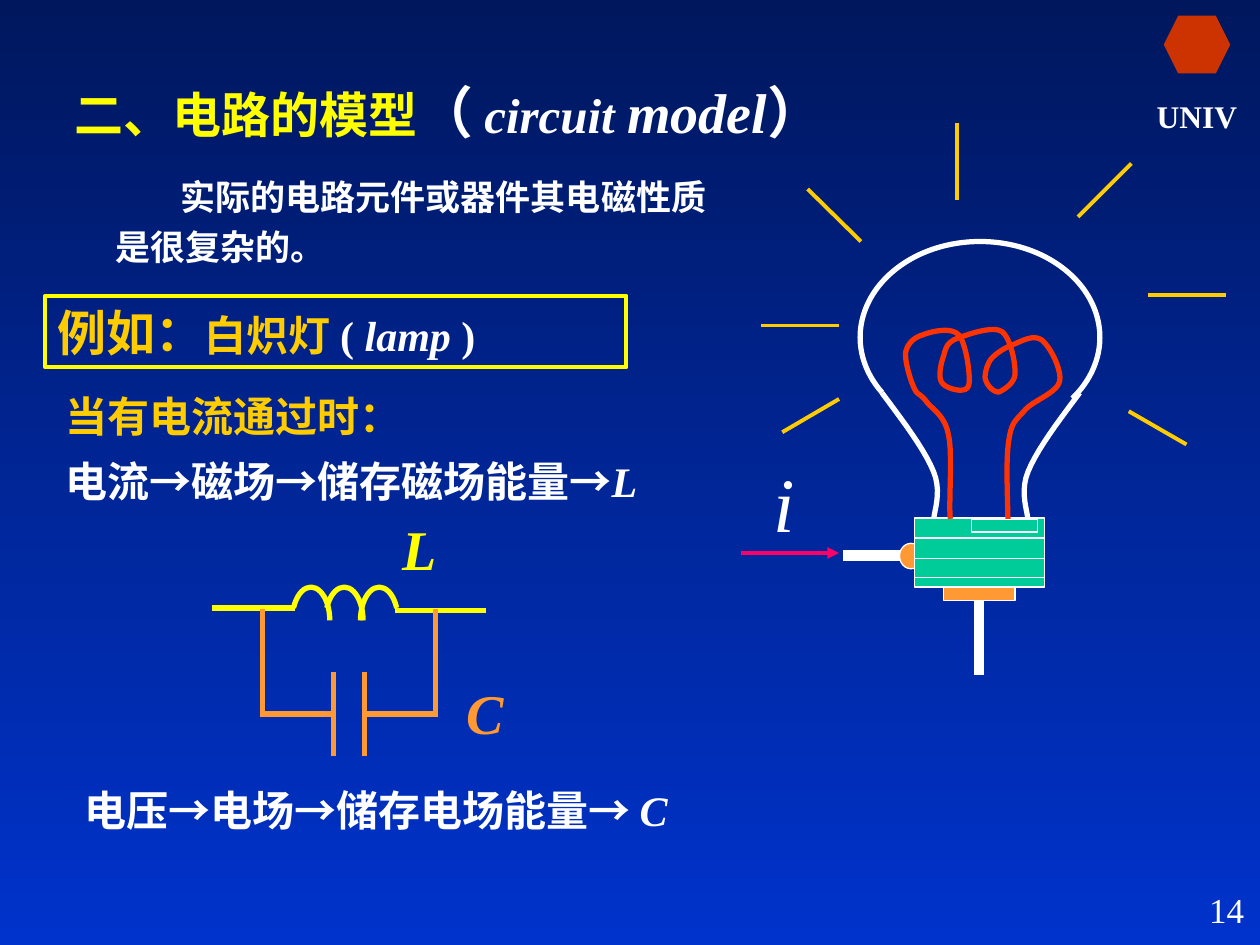
import pptx
import pptx.util
import pptx.dml.color
import pptx.enum.shapes
import pptx.enum.text
import pptx.oxml
import pptx.oxml.ns

Pt = pptx.util.Pt
SHAPE = pptx.enum.shapes.MSO_SHAPE
ANCHOR = pptx.enum.text.MSO_ANCHOR
ALIGN = pptx.enum.text.PP_ALIGN

THEME = {
    "top": "00175E", "bottom": "0033CC", "white": "FFFFFF", "yellow": "FFFF00",
    "gold": "FFCC00", "orange": "FF9933", "green": "00CC99", "red": "FF3300",
    "pink": "FF0066", "emblem": "CC3300",
    "serif": "Times New Roman", "sans": "Arial", "cjk": "Noto Sans CJK SC",
    "small": 18, "body": 20, "text": 24, "head": 28, "label": 32, "current": 44,
}

# Text: a run is (text, changes from the run before)
CJK, ARROW = {"font": "cjk"}, {"font": "sans"}
SYMBOL = {"font": "serif", "italic": True}
TITLE = [("二、电路的模型", {"color": "yellow", "size": "head"}),
         ("（", {"color": "white", "size": "label"}), (" ", {"size": "head"}),
         ("circuit ", {"italic": True}), ("model", {"size": "label"}),
         ("）", {"italic": False})]
EXAMPLE = [("例如：", {"color": "gold", "size": "head"}), ("白炽灯 ", {"size": "text"}),
           ("( ", {"color": "white"}), ("lamp ", {"italic": True}),
           (")", {"italic": False})]
MAGNETIC = [("电流", CJK), ("→", ARROW), ("磁场", CJK), ("→", ARROW),
            ("储存磁场能量", CJK), ("→", ARROW), ("L", SYMBOL)]
ELECTRIC = [("电压", CJK), ("→", ARROW), ("电场", CJK), ("→", ARROW),
            ("储存电场能量", CJK), ("→ ", ARROW), ("C", SYMBOL)]

# (text, box, format)
TEXTS = [
    ("实际的电路元件或器件其电磁性质是很复杂的。", (59, 91.5, 370, 65),
     {"size": "body", "spacing": 1.2, "indent": 37}),
    ("当有电流通过时：", (30.5, 219.5, 247.5, 36), {"color": "gold"}),
    (MAGNETIC, (30.5, 257, 462, 36), {}),
    (ELECTRIC, (41, 444.5, 393, 36), {}),
    ("L", (222.5, 290, 34, 46),
     {"color": "yellow", "size": "label", "italic": True, "align": ALIGN.CENTER, "wrap": False}),
    ("C", (260, 384, 35, 46),
     {"color": "orange", "size": "label", "italic": True, "align": ALIGN.CENTER, "wrap": False}),
    ("i", (435, 256.5, 26.5, 60),
     {"size": "current", "bold": False, "italic": True, "align": ALIGN.CENTER, "wrap": False}),
    ("UNIV", (653, 41, 62, 50), {"size": "small", "align": ALIGN.CENTER}),
    ("14", (568, 504, 150, 36),
     {"size": "body", "bold": False, "align": ALIGN.RIGHT, "anchor": ANCHOR.TOP}),
]

# Bulb: curves are a start point followed by cubic Bezier triples
NECK = [(504, 224.5), (516, 240.5), (528.5, 257), (533.5, 269.5),
        (538.5, 281.5), (533.5, 292.5), (533.5, 298)]
NECK_MIRROR = 1121
FILAMENT = [
    (543, 296.5), (542, 288.5), (544.5, 259), (542, 248.5),
    (540, 237), (532, 233.5), (529, 229), (525.5, 224.5), (524, 226), (522, 221),
    (520, 216.5), (517, 206.5), (517.5, 201.5), (518.5, 196.5), (522, 193), (527, 191.5),
    (532, 189.5), (543.5, 186.5), (548, 191.5), (552, 196), (555, 216), (553.5, 220.5),
    (552, 225.5), (540.5, 222), (538.5, 219), (535.5, 216), (538, 206.5), (539.5, 202.5),
    (540.5, 198), (542, 195), (548, 193), (553.5, 191), (567.5, 186), (572.5, 189.5),
    (577.5, 193), (580.5, 208), (580, 214), (579.5, 219.5), (573, 223), (571, 224),
    (568, 224.5), (564, 220.5), (563, 216.5), (562.5, 214), (564, 208), (566.5, 205),
    (569.5, 201.5), (575.5, 198), (580, 196.5), (584.5, 194.5), (591, 191), (595.5, 194.5),
    (600, 198), (607, 211.5), (605.5, 218), (604, 224.5), (590.5, 229), (586, 234),
    (581, 240), (578, 240.5), (576.5, 251.5), (574.5, 262), (576, 289.5), (576, 299.5)]
BASE = (522.5, 296, 74.5, 39.5)
THREADS = [307.5, 319, 330]
RAYS = [(479.5, 228, 447, 247), (479.5, 186, 435, 186), (492, 138, 461.5, 108),
        (547, 114.5, 547, 70.5), (645, 235, 678, 254), (656, 168.5, 700.5, 168.5),
        (616, 124, 646.5, 93.5)]

# Inductor with a capacitor in parallel
INDUCTOR_LEADS = [(121, 347.5, 168.5, 347.5), (225.5, 349, 278, 349)]
COIL_SIZE = (21.5, 38)
COILS = [(167, 215.5, 0), (186, 215.5, 0), (206, 180, 324.5)]
CAPACITOR = [(209, 408, 250.5, 408), (148.5, 408, 190.5, 408),
             (249, 348, 249, 408), (150, 348, 150, 408),
             (190.5, 384, 190.5, 432), (208.5, 384, 208.5, 432)]


def rgb(name):
    return pptx.dml.color.RGBColor.from_string(THEME[name])


def write(sp, text, color="white", size="text", font="serif", bold=True, italic=False,
          align=ALIGN.LEFT, anchor=ANCHOR.MIDDLE, wrap=True, spacing=1.0, indent=0):
    tf = sp.text_frame
    tf.word_wrap, tf.vertical_anchor = wrap, anchor
    tf.auto_size = pptx.enum.text.MSO_AUTO_SIZE.NONE
    tf.margin_left = tf.margin_right = Pt(7.2)
    tf.margin_top = tf.margin_bottom = Pt(3.6)
    p = tf.paragraphs[0]
    p.alignment, p.line_spacing = align, spacing
    if indent:
        p._p.get_or_add_pPr().set("indent", str(Pt(indent)))
    style = {"color": color, "size": size, "font": font, "italic": italic}
    for words, changes in ([(text, {})] if isinstance(text, str) else text):
        style.update(changes)
        r = p.add_run()
        r.text = words
        f = r.font
        f.name, f.size = THEME[style["font"]], Pt(THEME[style["size"]])
        f.bold, f.italic = bold, style["italic"]
        f.color.rgb = rgb(style["color"])
        ea = pptx.oxml.parse_xml('<a:ea %s typeface="%s"/>' % (
            pptx.oxml.ns.nsdecls("a"), THEME["cjk"]))
        r._r.get_or_add_rPr().find(pptx.oxml.ns.qn("a:latin")).addnext(ea)


def paint(sp, fill=None, line=None, width=0.75):
    sp.shadow.inherit = False
    if fill:
        sp.fill.solid()
        sp.fill.fore_color.rgb = rgb(fill)
    else:
        sp.fill.background()
    if line:
        sp.line.color.rgb, sp.line.width = rgb(line), Pt(width)
    else:
        sp.line.fill.background()
    return sp


def add_shape(s, kind, box, **look):
    return paint(s.shapes.add_shape(kind, *map(Pt, box)), **look)


def add_line(s, ends, color, width, arrow=False):
    c = s.shapes.add_connector(pptx.enum.shapes.MSO_CONNECTOR.STRAIGHT, *map(Pt, ends))
    c.line.color.rgb, c.line.width = rgb(color), Pt(width)
    ns = pptx.oxml.ns.nsdecls("a")
    if arrow:
        c.line._get_or_add_ln().append(pptx.oxml.parse_xml(f'<a:tailEnd {ns} type="triangle"/>'))
    c._element.spPr.append(pptx.oxml.parse_xml(f"<a:effectLst {ns}/>"))
    return c


def add_arc(s, box, start, end, **look):
    """Draw an elliptical arc clockwise between two angles in degrees."""
    sp = add_shape(s, SHAPE.ARC, box, **look)
    for i, angle in enumerate((start, end)):
        sp.adjustments[i] = angle * 0.6  # 60000 units a degree, scaled by 100000
    return sp


def add_curve(s, points, color, width, steps=10):
    """Draw an open chain of cubic Bezier segments."""
    line = []
    for k in range(0, len(points) - 1, 3):
        for t in (n / steps for n in range(1, steps + 1)):
            weights = ((1 - t) ** 3, 3 * t * (1 - t) ** 2, 3 * t * t * (1 - t), t ** 3)
            line.append(tuple(Pt(sum(w * pt[axis] for w, pt in zip(weights, points[k:k + 4])))
                              for axis in (0, 1)))
    builder = s.shapes.build_freeform(*map(Pt, points[0]))
    builder.add_line_segments(line, close=False)
    return paint(builder.convert_to_shape(), line=color, width=width)


def draw_bulb(s):
    add_line(s, (481.5, 317.5, 517, 317.5), "white", 6)
    add_shape(s, SHAPE.OVAL, (514, 310.5, 13, 14.5), fill="orange", line="white")
    add_arc(s, (491.5, 138, 137, 109.5), 150.5, 33.5, line="white", width=3)
    add_curve(s, NECK, "white", 3)
    add_curve(s, [(NECK_MIRROR - x, y) for x, y in NECK], "white", 3)
    add_shape(s, SHAPE.RECTANGLE, BASE, fill="green", line="white")
    for y in THREADS:
        add_line(s, (BASE[0], y, BASE[0] + BASE[2], y), "white", 0.75)
    contact = add_shape(s, SHAPE.RECTANGLE, (539, 335.5, 41, 7.5), fill="orange", line="white")
    stem = add_line(s, (559.5, 343, 559.5, 386), "white", 6)
    stem.begin_connect(contact, 2)
    add_curve(s, FILAMENT, "red", 3)
    add_shape(s, SHAPE.RECTANGLE, (555, 297, 38, 7), fill="green", line="white")
    add_line(s, (423.5, 316, 479.5, 316), "pink", 2.25, arrow=True)
    for ray in RAYS:
        add_line(s, ray, "gold", 2.25)


def draw_circuit(s):
    for lead in INDUCTOR_LEADS:
        add_line(s, lead, "yellow", 3)
    for x, start, end in COILS:
        add_arc(s, (x, 335.5, *COIL_SIZE), start, end, line="yellow", width=3)
    for part in CAPACITOR:
        add_line(s, part, "orange", 3)


def main():
    prs = pptx.Presentation()
    prs.slide_width, prs.slide_height = Pt(720), Pt(540)
    s = prs.slides.add_slide(prs.slide_layouts[5])
    fill = s.background.fill
    fill.gradient()
    fill.gradient_angle = 270
    for stop, name in zip(fill.gradient_stops, ("top", "bottom")):
        stop.color.rgb = rgb(name)

    title = s.shapes.title
    title.left, title.top, title.width, title.height = map(Pt, (35.5, 40.5, 503, 46))
    write(title, TITLE, anchor=ANCHOR.TOP)
    add_shape(s, SHAPE.HEXAGON, (665, 9, 38, 33), fill="emblem")
    draw_bulb(s)
    draw_circuit(s)
    example = add_shape(s, SHAPE.RECTANGLE, (26, 169, 332, 41), line="yellow", width=2.25)
    write(example, EXAMPLE)
    for text, box, style in TEXTS:
        write(s.shapes.add_textbox(*map(Pt, box)), text, **style)
    prs.save("out.pptx")


if __name__ == "__main__":
    main()
